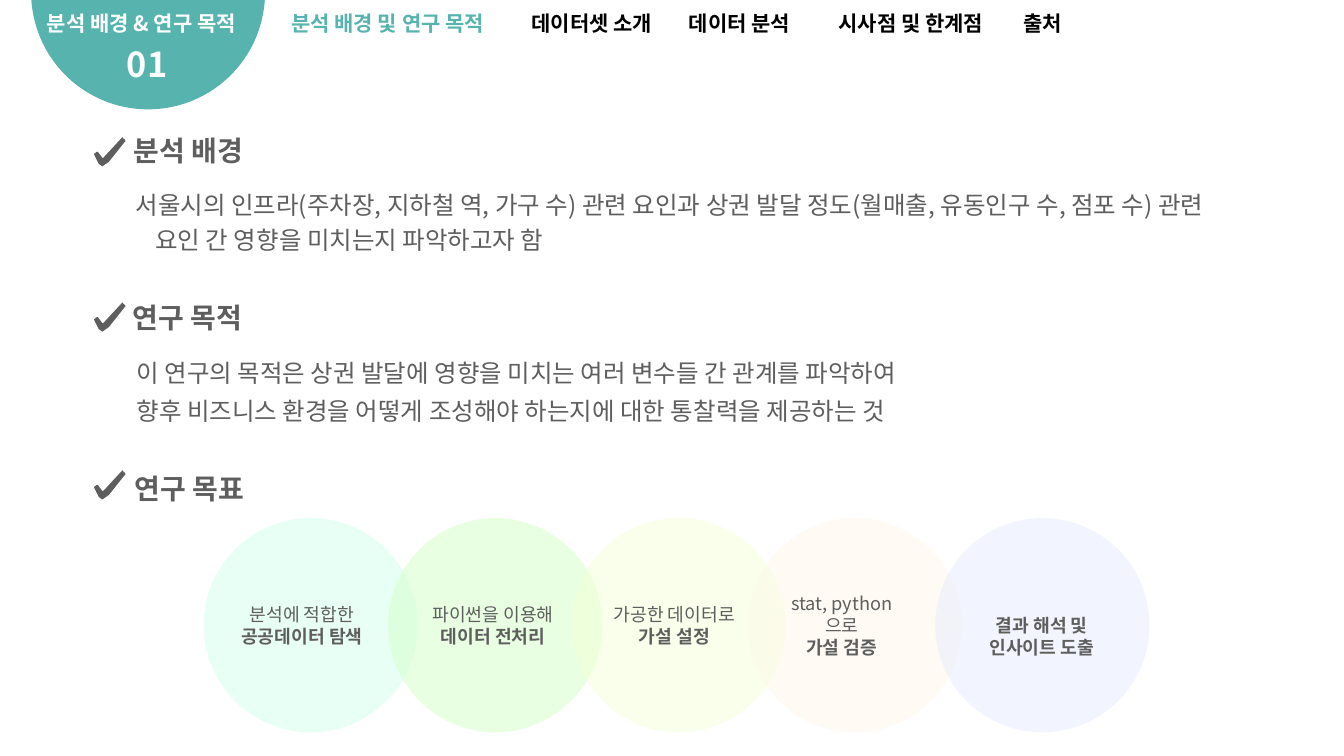
from lxml.etree import SubElement
from pptx import Presentation
from pptx.dml.color import RGBColor
from pptx.enum.shapes import MSO_SHAPE
from pptx.enum.text import MSO_ANCHOR, PP_ALIGN
from pptx.oxml.ns import qn
from pptx.util import Cm, Pt

THEME = {
    "font": "Noto Sans CJK KR",
    "teal": "57B3AE", "grey": "5E5E5E", "black": "000000", "white": "FFFFFF",
    "menu": 30, "number": 49, "heading": 40, "body": 35, "label": 26,
}

# text, left
MENU = [
    ("분석 배경 및 연구 목적", 14.53),
    ("데이터셋 소개", 26.64),
    ("데이터 분석", 34.57),
    ("시사점 및 한계점", 42.11),
    ("출처", 51.44),
]
CURRENT_MENU = 0

# heading, left, top, top of tick
SECTIONS = [
    ("분석 배경", 6.58, 6.6, 6.91),
    ("연구 목적", 6.53, 15.04, 15.24),
    ("연구 목표", 6.63, 23.65, 23.7),
]

BACKGROUND = [
    "서울시의 인프라(주차장, 지하철 역, 가구 수) 관련 요인과 상권 발달 정도"
    "(월매출, 유동인구 수, 점포 수) 관련 요인 간 영향을 미치는지 파악하고자 함",
]
PURPOSE = [
    "이 연구의 목적은 상권 발달에 영향을 미치는 여러 변수들 간 관계를 파악하여",
    "향후 비즈니스 환경을 어떻게 조성해야 하는지에 대한 통찰력을 제공하는 것",
]

# circle left, fill, label centre x, label centre y, lines as (text, bold)
GOALS = [
    (10.26, "CFFFEE", 15.22, 31.5, [("분석에 적합한", False), ("공공데이터 탐색", True)]),
    (19.56, "D3FFC4", 24.85, 31.5, [("파이썬을 이용해", False), ("데이터 전처리", True)]),
    (28.8, "F3FFD5", 33.99, 31.5, [("가공한 데이터로", False), ("가설 설정", True)]),
    (37.69, "FFF7E9", 42.43, 31.5, [("stat, python으로", False), ("가설 검증", True)]),
    (47.14, "E5ECFF", 52.51, 32.05, [("결과 해석 및", True), ("인사이트 도출", True)]),
]
CIRCLE_TOP, CIRCLE_SIZE, CIRCLE_ALPHA = 26.11, 10.8, 48
LABEL_WIDTH, LABEL_HEIGHT = 6.8, 2.4

# hundredths of an inch from the tick's top left corner
TICK = [(56, 0), (18, 41), (16, 41), (10, 33), (7, 29), (3, 30), (3, 31), (0, 33),
        (0, 35), (9, 53), (16, 58), (29, 49), (60, 10), (62, 8), (61, 5), (58, 3)]
TICK_LEFT, TICK_UNIT = 4.75, 0.0254


def paint(shape, color, alpha=100):
    """Fill a shape flat, without line or shadow; alpha is opacity in percent."""
    shape.shadow.inherit = False
    shape.line.fill.background()
    shape.fill.solid()
    shape.fill.fore_color.rgb = RGBColor.from_string(color)
    if alpha < 100:
        solid = shape.element.spPr.find(qn("a:solidFill"))
        SubElement(solid[0], qn("a:alpha"), val=str(alpha * 1000))


def add_text(slide, box, lines, size, color, align=PP_ALIGN.LEFT, spacing=None, hanging=0):
    """Write (text, bold) lines, one paragraph each, in a box of left, top, width, height."""
    frame = slide.shapes.add_textbox(*(Cm(length) for length in box)).text_frame
    frame_format = {"word_wrap": True, "vertical_anchor": MSO_ANCHOR.MIDDLE}
    frame_format.update({f"margin_{side}": Cm(0.15) for side in ("left", "top", "right", "bottom")})
    for name, value in frame_format.items():
        setattr(frame, name, value)
    for index, (text, bold) in enumerate(lines):
        paragraph = frame.add_paragraph() if index else frame.paragraphs[0]
        paragraph.alignment = align
        if spacing:
            paragraph.line_spacing = spacing
        if hanging:
            properties = paragraph._p.get_or_add_pPr()
            properties.set("marL", str(Cm(hanging)))
            properties.set("indent", str(-Cm(hanging)))
        run = paragraph.add_run()
        run.text = text
        for name, value in {"name": THEME["font"], "size": Pt(size), "bold": bold}.items():
            setattr(run.font, name, value)
        run.font.color.rgb = RGBColor.from_string(color)
        SubElement(run._r.get_or_add_rPr(), qn("a:ea"), typeface=THEME["font"])


def add_header(slide):
    badge = slide.shapes.add_shape(
        MSO_SHAPE.ROUNDED_RECTANGLE, Cm(1.57), Cm(-18.06), Cm(11.79), Cm(23.57))
    badge.adjustments[0] = 0.5
    paint(badge, THEME["teal"])
    add_text(slide, (2.21, 0.43, 12, 1.52), [("분석 배경 & 연구 목적", True)],
             THEME["menu"], THEME["white"])
    add_text(slide, (6.25, 2.06, 2.9, 2.26), [("01", True)], THEME["number"], THEME["white"])
    for index, (text, left) in enumerate(MENU):
        color = THEME["teal" if index == CURRENT_MENU else "black"]
        add_text(slide, (left, 0.43, 12, 1.52), [(text, True)], THEME["menu"], color)


def add_tick(slide, top):
    builder = slide.shapes.build_freeform(*TICK[0], scale=Cm(TICK_UNIT))
    builder.add_line_segments(TICK[1:], close=True)
    paint(builder.convert_to_shape(Cm(TICK_LEFT), Cm(top)), THEME["grey"])


def add_sections(slide):
    for heading, left, top, tick_top in SECTIONS:
        add_tick(slide, tick_top)
        add_text(slide, (left, top, 34.98, 1.9), [(heading, True)],
                 THEME["heading"], THEME["grey"])
    add_text(slide, (6.68, 9.26, 55.17, 3.56), [(text, False) for text in BACKGROUND],
             THEME["body"], THEME["grey"], spacing=1.2, hanging=1)
    add_text(slide, (6.73, 17.53, 42, 3.99), [(text, False) for text in PURPOSE],
             THEME["body"], THEME["grey"], spacing=1.3)


def add_goals(slide):
    for left, color, *_ in GOALS:
        circle = slide.shapes.add_shape(
            MSO_SHAPE.OVAL, Cm(left), Cm(CIRCLE_TOP), Cm(CIRCLE_SIZE), Cm(CIRCLE_SIZE))
        paint(circle, color, CIRCLE_ALPHA)
    for _, _, center_x, center_y, lines in GOALS:
        box = (center_x - LABEL_WIDTH / 2, center_y - LABEL_HEIGHT / 2,
               LABEL_WIDTH, LABEL_HEIGHT)
        add_text(slide, box, lines, THEME["label"], THEME["grey"], PP_ALIGN.CENTER)


def main():
    presentation = Presentation()
    presentation.slide_width, presentation.slide_height = Cm(67.74), Cm(38.1)
    slide = presentation.slides.add_slide(presentation.slide_layouts[6])
    add_header(slide)
    add_sections(slide)
    add_goals(slide)
    presentation.save("out.pptx")


if __name__ == "__main__":
    main()
